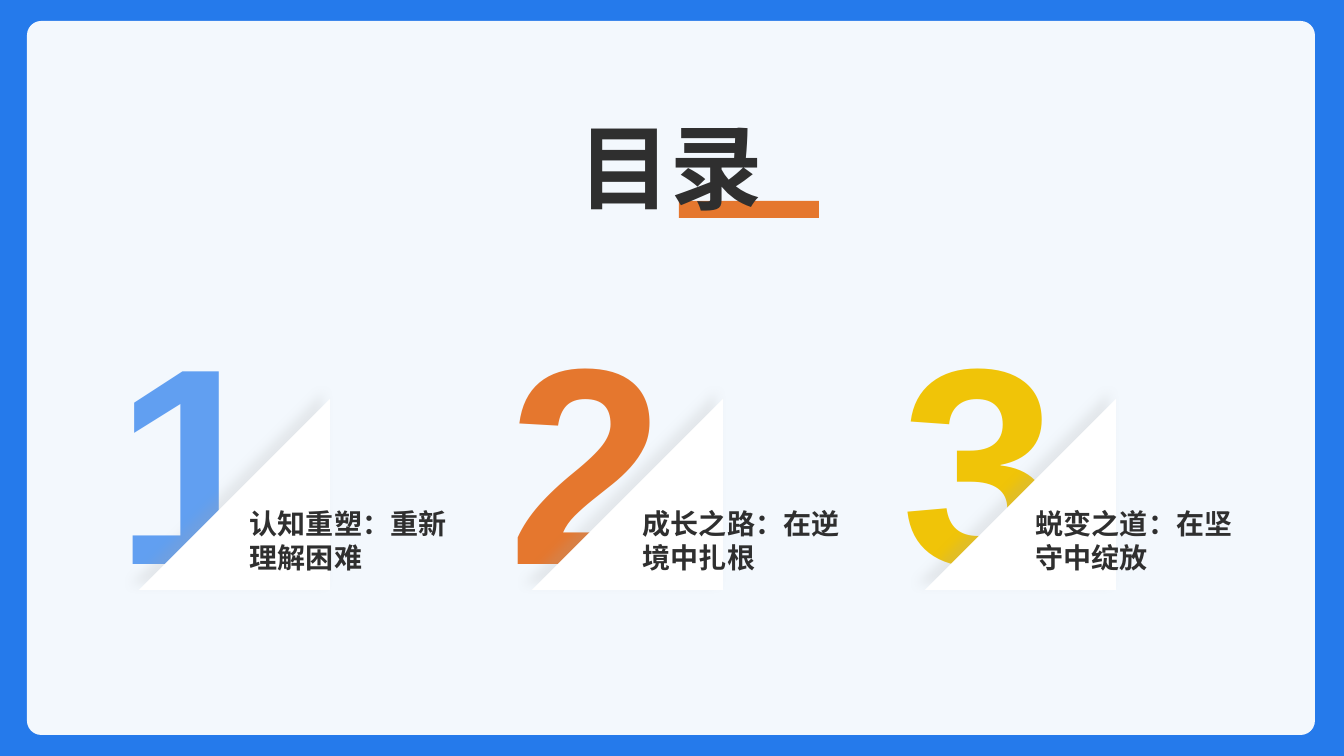
"""Build the contents slide with three numbered chapters."""
from lxml import etree
from pptx import Presentation
from pptx.dml.color import RGBColor
from pptx.enum.shapes import MSO_SHAPE
from pptx.enum.text import MSO_ANCHOR, MSO_AUTO_SIZE, PP_ALIGN
from pptx.oxml import parse_xml
from pptx.oxml.ns import qn
from pptx.util import Pt

RECT, ROUNDED, TRIANGLE = MSO_SHAPE.RECTANGLE, MSO_SHAPE.ROUNDED_RECTANGLE, MSO_SHAPE.RIGHT_TRIANGLE
TOP, MIDDLE = MSO_ANCHOR.TOP, MSO_ANCHOR.MIDDLE
LEFT, CENTER = PP_ALIGN.LEFT, PP_ALIGN.CENTER
NO_FIT = MSO_AUTO_SIZE.NONE
EMU = 914400 / 100.8
rgb = RGBColor.from_string
BLUE, WHITE, INK, ORANGE = "257AEB", "FFFFFF", "2F2F2F", "E5772E"
STEP = 393
CHAPTERS = [
    ("619FF1", "认知重塑：重新理解困难"),
    (ORANGE, "成长之路：在逆境中扎根"),
    ("F0C408", "蜕变之道：在坚守中绽放"),
]
SHADOW = """<a:effectLst xmlns:a="http://schemas.openxmlformats.org/drawingml/2006/main">
<a:outerShdw blurRad="101600" dist="88900" dir="13200000" algn="ctr" rotWithShape="0">
<a:srgbClr val="A6A6A6"><a:alpha val="20000"/></a:srgbClr></a:outerShdw></a:effectLst>"""


def add_block(kind, x, y, w, h, color):
    sp = s.shapes.add_shape(kind, *[round(v * EMU) for v in (x, y, w, h)])
    sp.shadow.inherit = False
    sp.fill.solid()
    sp.fill.fore_color.rgb = rgb(color)
    sp.line.fill.background()
    return sp


def write(sp, x, y, w, h, text, size, color, align=CENTER, anchor=TOP):
    sp.left, sp.top, sp.width, sp.height = [round(v * EMU) for v in (x, y, w, h)]
    tf = sp.text_frame
    tf.text = text
    tf.word_wrap = True
    tf.auto_size = NO_FIT
    tf.vertical_anchor = anchor
    p = tf.paragraphs[0]
    p.alignment = align
    p.font.name = "Arial"
    p.font.size = Pt(size)
    p.font.bold = True
    p.font.color.rgb = rgb(color)


prs = Presentation()
prs.slide_width, prs.slide_height = round(1344 * EMU), round(756 * EMU)
s = prs.slides.add_slide(prs.slide_layouts[5])
s.background.fill.solid()
s.background.fill.fore_color.rgb = rgb(BLUE)

card = add_block(ROUNDED, 27, 21, 1288, 714, WHITE)
card.adjustments[0] = 0.02
card_color = card.fill._xPr.find(qn("a:solidFill"))[0]
etree.SubElement(card_color, qn("a:alpha"), val="95000")

for i, (color, label) in enumerate(CHAPTERS):
    dx = i * STEP
    number = s.shapes.add_textbox(0, 0, 0, 0)
    write(number, 94 + dx, 278, 198, 350, str(i + 1), 200, color, anchor=MIDDLE)
    corner = add_block(TRIANGLE, 139 + dx, 399, 191, 191, WHITE)
    spPr = corner._element.spPr
    spPr.find(qn("a:xfrm")).set("flipH", "1")
    spPr.replace(spPr.find(qn("a:effectLst")), parse_xml(SHADOW))
    caption = s.shapes.add_textbox(0, 0, 0, 0)
    write(caption, 240 + dx, 502, 232, 44, label, 20, INK, LEFT)

bar = add_block(RECT, 679, 201, 140, 17, ORANGE)
title = s.shapes.title
write(title, 553, 105, 235, 122, "目录", 66, INK)
bar._element.addnext(title._element)

prs.save("out.pptx")
